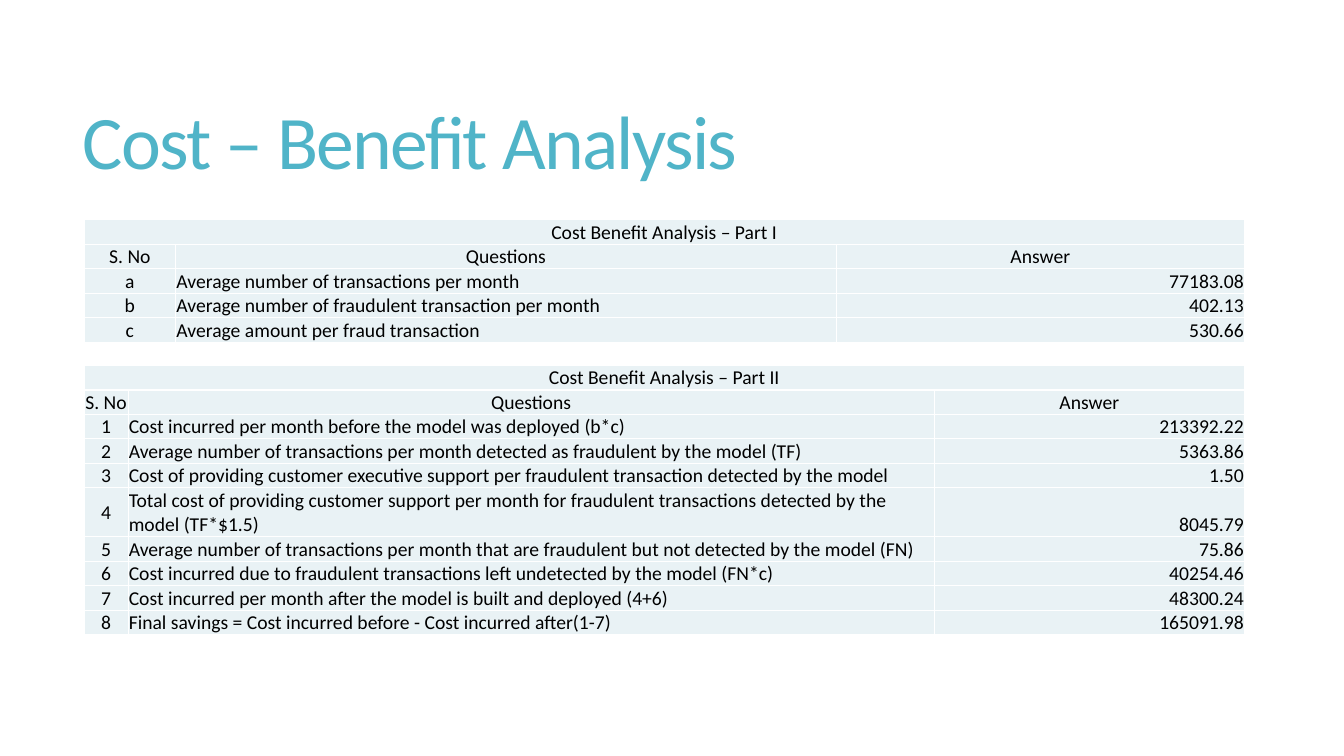
import dataclasses

import lxml.etree
import pptx
import pptx.dml.color
import pptx.enum.text
import pptx.oxml.ns
import pptx.util

Pt = pptx.util.Pt
Align = pptx.enum.text.PP_ALIGN
Anchor = pptx.enum.text.MSO_ANCHOR


@dataclasses.dataclass(frozen=True)
class Theme:
    """Hold the colours, font and sizes of the slide."""
    title: str = "50B4C8"
    ink: str = "000000"
    cell: str = "E9F2F5"
    rule: str = "FFFFFF"
    font: str = "Calibri"
    big: int = 54
    small: int = 14


THEME = Theme()
HEAD = ("S. No", "Questions", "Answer")
LINE = 17.5

PART_ONE = [
    ("a", "Average number of transactions per month", "77183.08"),
    ("b", "Average number of fraudulent transaction per month", "402.13"),
    ("c", "Average amount per fraud transaction", "530.66"),
]
PART_TWO = [
    ("1", "Cost incurred per month before the model was deployed (b*c)", "213392.22"),
    ("2", "Average number of transactions per month detected as fraudulent by the model (TF)", "5363.86"),
    ("3", "Cost of providing customer executive support per fraudulent transaction detected by the model", "1.50"),
    ("4", "Total cost of providing customer support per month for fraudulent transactions "
          "detected by the model (TF*$1.5)", "8045.79"),
    ("5", "Average number of transactions per month that are fraudulent but not detected by the model (FN)", "75.86"),
    ("6", "Cost incurred due to fraudulent transactions left undetected by the model (FN*c)", "40254.46"),
    ("7", "Cost incurred per month after the model is built and deployed (4+6)", "48300.24"),
    ("8", "Final savings = Cost incurred before - Cost incurred after(1-7)", "165091.98"),
]


def paint(font, size, tint):
    """Set the face, size and colour of a font."""
    font.name = THEME.font
    font.size = Pt(size)
    font.color.rgb = pptx.dml.color.RGBColor.from_string(tint)


def add_title(slide, box, text):
    """Place the slide title in its box."""
    frame = slide.shapes.add_textbox(*map(Pt, box)).text_frame
    frame.word_wrap = True
    frame.vertical_anchor = Anchor.MIDDLE
    para = frame.paragraphs[0]
    para.text = text
    para.line_spacing = 0.85
    run = para.runs[0]
    paint(run.font, THEME.big, THEME.title)
    run.font._element.set("spc", "-120")


def add_rules(cell):
    """Draw a thin rule on each side of a cell."""
    name = pptx.oxml.ns.qn
    props = cell._tc.get_or_add_tcPr()
    for side in ("a:lnL", "a:lnR", "a:lnT", "a:lnB"):
        line = lxml.etree.SubElement(props, name(side), w=str(Pt(1)))
        fill = lxml.etree.SubElement(line, name("a:solidFill"))
        lxml.etree.SubElement(fill, name("a:srgbClr"), val=THEME.rule)


def fill_cell(cell, text, align, anchor):
    """Style one cell and write its text."""
    cell.margin_left = cell.margin_right = cell.margin_top = Pt(0.5)
    cell.margin_bottom = 0
    cell.vertical_anchor = anchor
    add_rules(cell)
    cell.fill.solid()
    cell.fill.fore_color.rgb = pptx.dml.color.RGBColor.from_string(THEME.cell)
    para = cell.text_frame.paragraphs[0]
    para.text = text
    para.alignment = align
    paint(para.font, THEME.small, THEME.ink)
    for run in para.runs:
        paint(run.font, THEME.small, THEME.ink)


def add_grid(slide, box, title, cols, items, tall=()):
    """Place a titled table of questions and answers in its box."""
    rows = [(title, "", ""), HEAD, *items]
    grid = slide.shapes.add_table(len(rows), len(cols), *map(Pt, box)).table
    grid.first_row = grid.horz_banding = False
    for col, width in zip(grid.columns, cols):
        col.width = Pt(width)
    for i, row in enumerate(rows):
        grid.rows[i].height = Pt(LINE * (2 if i in tall else 1))
        sides = (Align.CENTER, Align.LEFT, Align.RIGHT) if i > 1 else (Align.CENTER,) * 3
        for j, text in enumerate(row):
            anchor = Anchor.BOTTOM if j else Anchor.MIDDLE
            fill_cell(grid.cell(i, j), text, sides[j], anchor)
    grid.cell(0, 0).merge(grid.cell(0, len(cols) - 1))


def main():
    """Build the slide and save it."""
    deck = pptx.Presentation()
    deck.slide_width, deck.slide_height = Pt(960), Pt(540)
    slide = deck.slides.add_slide(deck.slide_layouts[6])
    add_title(slide, (52, 39.5, 848, 130.5), "Cost – Benefit Analysis")
    add_grid(slide, (60, 157, 829, 5 * LINE), "Cost Benefit Analysis – Part I",
             (65.5, 471.75, 291.75), PART_ONE)
    add_grid(slide, (60, 261, 829, 11 * LINE), "Cost Benefit Analysis – Part II",
             (31.5, 575.75, 221.75), PART_TWO, tall=(5,))
    deck.save("out.pptx")


if __name__ == "__main__":
    main()
